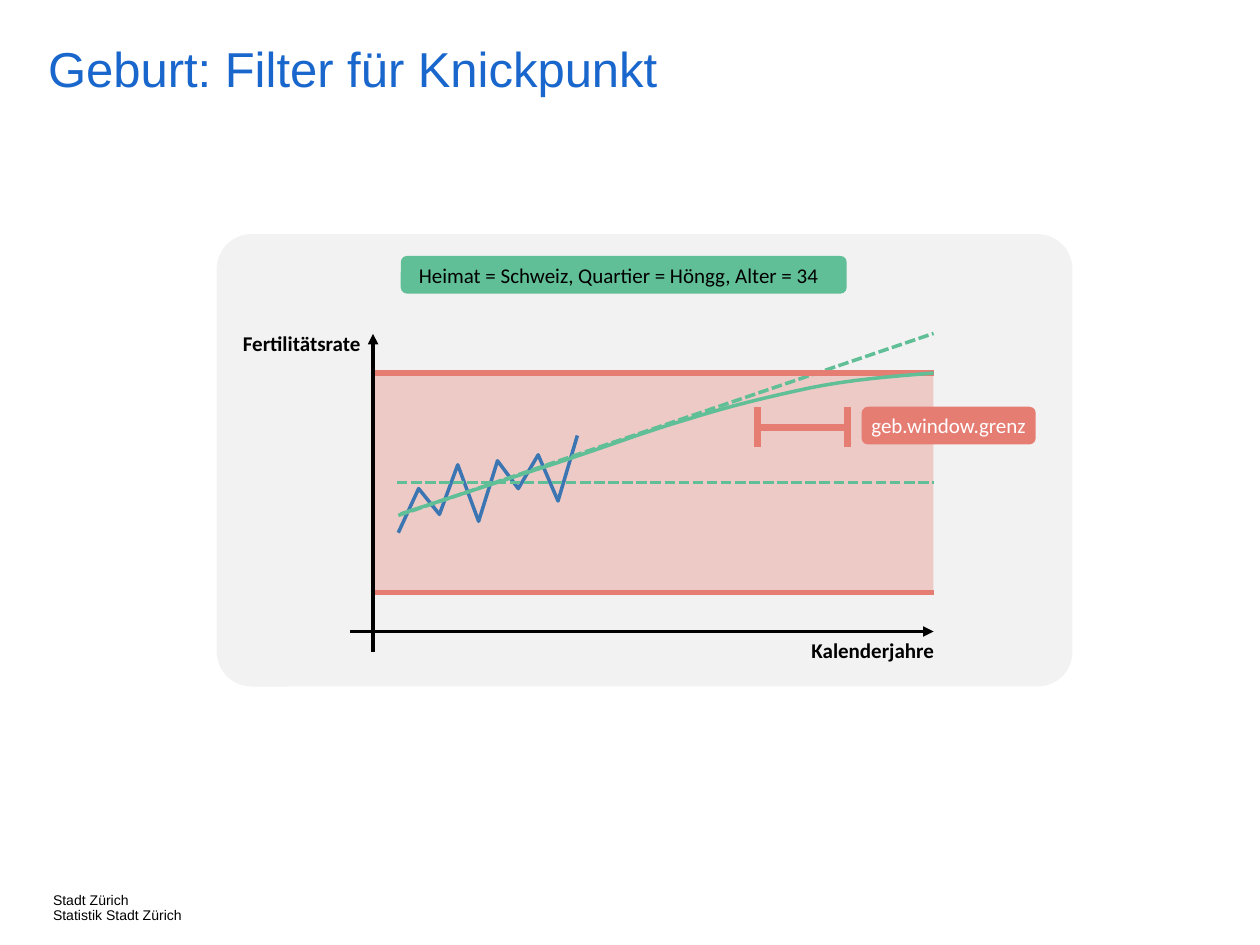
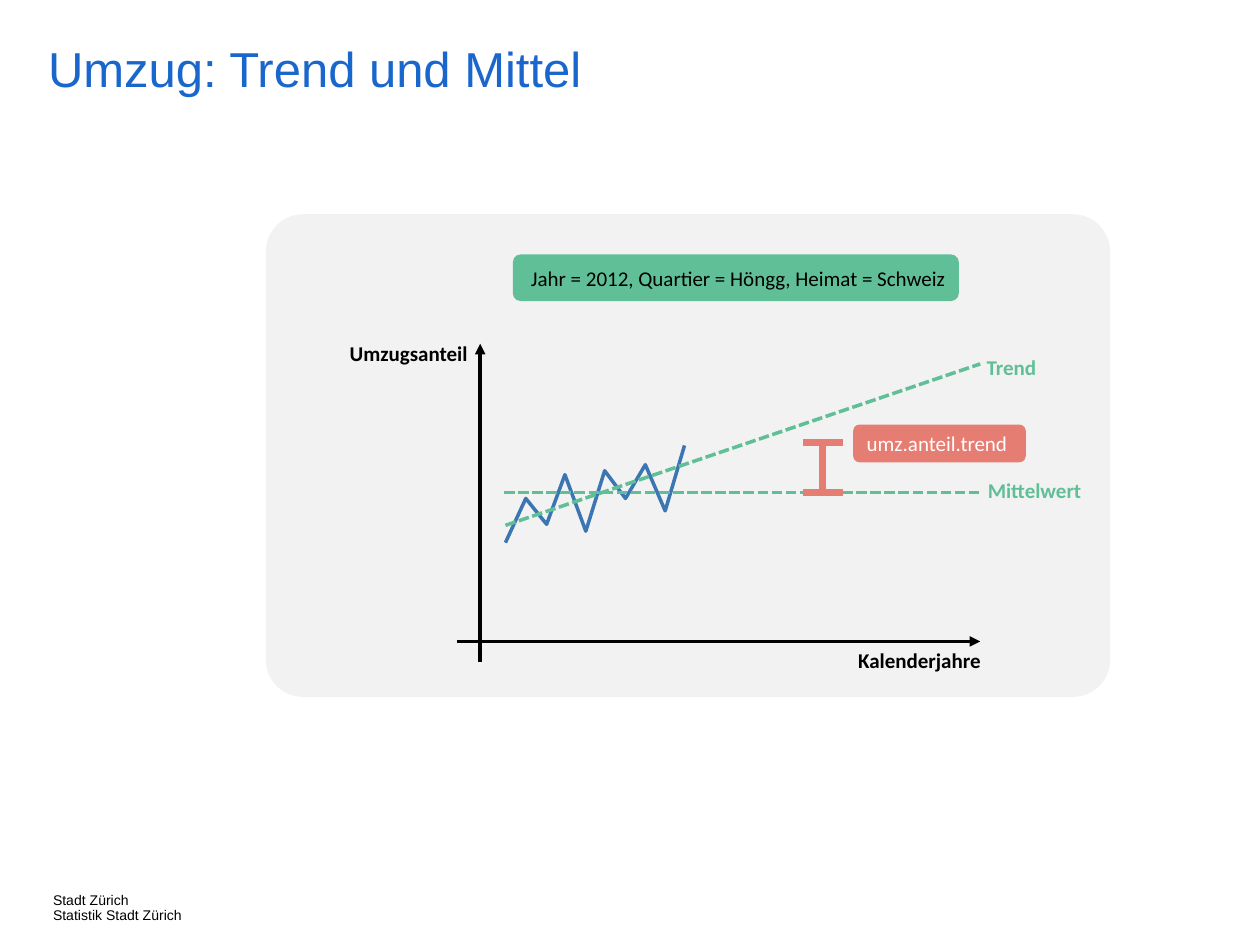
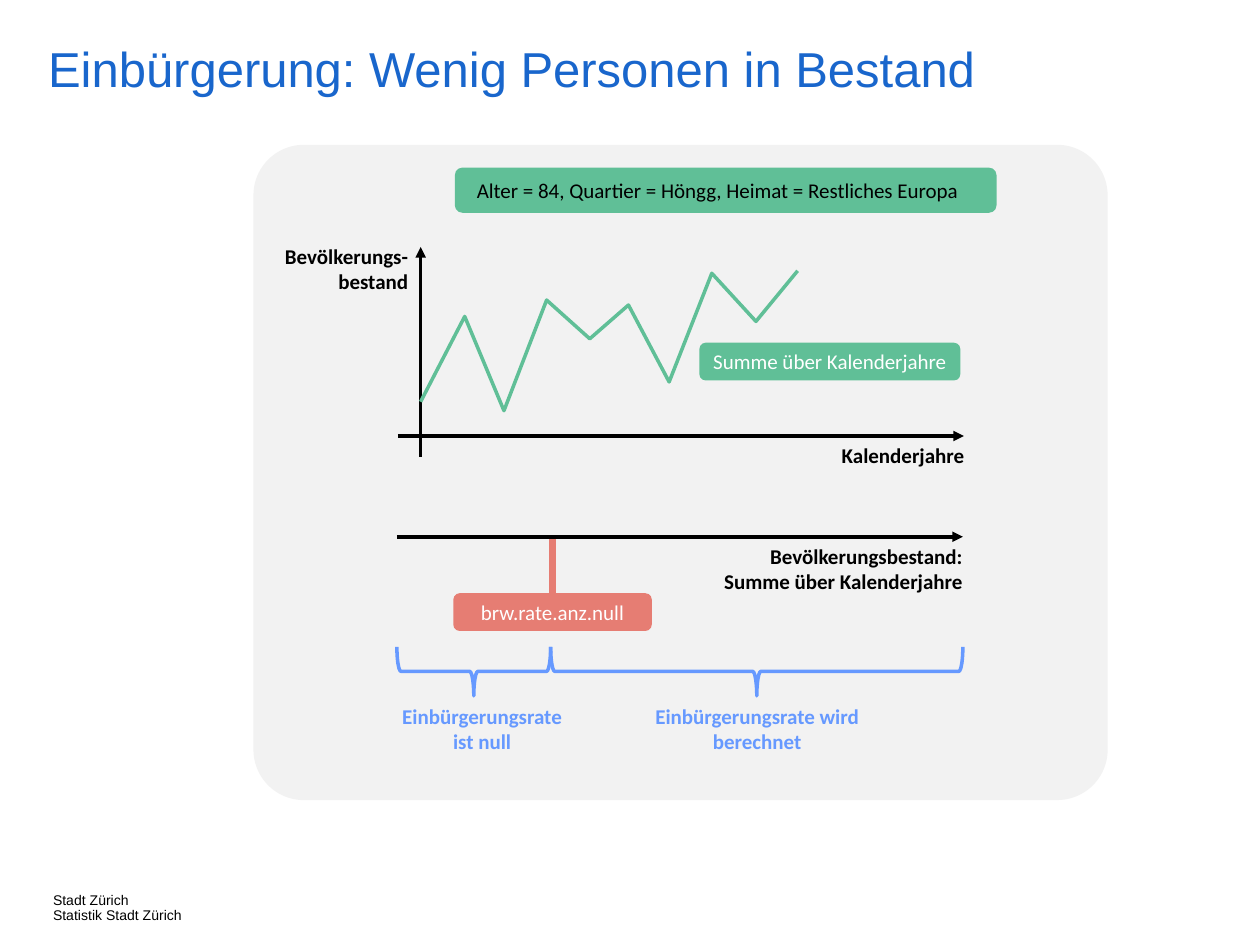
import pptx
import pptx.util
import pptx.dml.color
import pptx.enum.dml
import pptx.enum.shapes
import pptx.enum.text
import pptx.oxml
import pptx.oxml.ns
from lxml import etree

Cm = pptx.util.Cm
RGBColor = pptx.dml.color.RGBColor
ALIGN = pptx.enum.text.PP_ALIGN
ANCHOR = pptx.enum.text.MSO_ANCHOR
SHAPE = pptx.enum.shapes.MSO_SHAPE
qn = pptx.oxml.ns.qn

# Colours
BLACK = RGBColor(0x00, 0x00, 0x00)
WHITE = RGBColor(0xFF, 0xFF, 0xFF)
TITLE_BLUE = RGBColor(0x19, 0x66, 0xCC)
PANEL_GREY = RGBColor(0xF2, 0xF2, 0xF2)
GREEN = RGBColor(0x60, 0xBF, 0x97)
RED = RGBColor(0xE6, 0x7D, 0x73)
DATA_BLUE = RGBColor(0x3B, 0x76, 0xB3)
BRACE_BLUE = RGBColor(0x66, 0x99, 0xFF)

# Observed values, relative to the first one, in cm
OBSERVED = [(0, 0), (0.41, -0.89), (0.83, -0.37), (1.2, -1.37), (1.62, -0.23),
            (2, -1.45), (2.42, -0.89), (2.82, -1.57), (3.22, -0.64), (3.61, -1.96)]
TREND_SLOPE = 0.34


def write_text(frame, *lines, size=12, font="Calibri", color=BLACK, bold=False,
               align=ALIGN.LEFT, anchor=ANCHOR.TOP, spacing=1.0,
               margins=(0, 0, 0, 0), wrap=True):
    """Fill a text frame with one paragraph per line; margins are left, top, right, bottom."""
    frame.word_wrap = wrap
    frame.auto_size = pptx.enum.text.MSO_AUTO_SIZE.NONE
    frame.vertical_anchor = anchor
    frame.margin_left, frame.margin_top, frame.margin_right, frame.margin_bottom = map(Cm, margins)
    for index, line in enumerate(lines):
        paragraph = frame.add_paragraph() if index else frame.paragraphs[0]
        paragraph.alignment = align
        paragraph.line_spacing = spacing
        run = paragraph.add_run()
        run.text = line
        run.font.name = font
        run.font.size = pptx.util.Pt(size)
        run.font.bold = bold
        run.font.color.rgb = color


def curve_points(start, control_1, control_2, end, steps=8):
    """Points on a cubic Bézier curve, without its start."""
    points = []
    for step in range(1, steps + 1):
        t = step / steps
        weights = ((1 - t) ** 3, 3 * t * (1 - t) ** 2, 3 * t * t * (1 - t), t ** 3)
        corners = (start, control_1, control_2, end)
        points.append(tuple(sum(w * corner[axis] for w, corner in zip(weights, corners))
                            for axis in (0, 1)))
    return points


class Deck:
    """The shared style and the current slide; all lengths are in cm."""

    def __init__(self):
        self.presentation = pptx.Presentation()
        self.presentation.slide_width = Cm(25.4)
        self.presentation.slide_height = Cm(19.05)
        self.slide = None

    def add_slide(self, title):
        self.slide = self.presentation.slides.add_slide(self.presentation.slide_layouts[5])
        placeholder = self.slide.shapes.title
        placeholder.left, placeholder.top = Cm(0.97), Cm(0.91)
        placeholder.width, placeholder.height = Cm(21.34), Cm(1.63)
        write_text(placeholder.text_frame, title, size=28, font="Arial",
                   color=TITLE_BLUE, spacing=0.9)
        footer = self.slide.shapes.add_textbox(Cm(1.07), Cm(18.01), Cm(3.33), Cm(0.51))
        write_text(footer.text_frame, "Stadt Zürich", "Statistik Stadt Zürich",
                   size=8, font="Arial", spacing=0.9, wrap=False)

    def box(self, kind, left, top, width, height, fill):
        shape = self.slide.shapes.add_shape(kind, Cm(left), Cm(top), Cm(width), Cm(height))
        shape.shadow.inherit = False
        shape.fill.solid()
        shape.fill.fore_color.rgb = fill
        shape.line.fill.background()
        return shape

    def panel(self, left, top, width, height):
        shape = self.box(SHAPE.ROUNDED_RECTANGLE, left, top, width, height, PANEL_GREY)
        shape.adjustments[0] = 0.077

    def value_range(self, left, top, width, height):
        """See-through area between an upper and a lower limit."""
        shape = self.box(SHAPE.RECTANGLE, left, top, width, height, RED)
        color = shape.element.spPr.find(qn("a:solidFill"))[0]
        etree.SubElement(color, qn("a:alpha")).set("val", "34000")

    def tag(self, left, top, width, text, height=0.76, fill=GREEN, color=BLACK, shift=0):
        """Rounded label; shift moves its text sideways."""
        shape = self.box(SHAPE.ROUNDED_RECTANGLE, left, top, width, height, fill)
        write_text(shape.text_frame, text, color=color, align=ALIGN.CENTER,
                   anchor=ANCHOR.MIDDLE,
                   margins=(max(0, 2 * shift), 0, max(0, -2 * shift), 0))
        return shape

    def label(self, left, top, width, *lines, height=0.76, align=ALIGN.CENTER, color=BLACK):
        shape = self.slide.shapes.add_textbox(Cm(left), Cm(top), Cm(width), Cm(height))
        write_text(shape.text_frame, *lines, bold=True, color=color, align=align,
                   margins=(0.25, 0.13, 0.25, 0.13))

    def line(self, x1, y1, x2, y2, color, width=2, dashed=False, arrow=False):
        connector = self.slide.shapes.add_connector(
            pptx.enum.shapes.MSO_CONNECTOR.STRAIGHT, Cm(x1), Cm(y1), Cm(x2), Cm(y2))
        connector.line.color.rgb = color
        connector.line.width = pptx.util.Pt(width)
        if dashed:
            connector.line.dash_style = pptx.enum.dml.MSO_LINE.SQUARE_DOT
        properties = connector.element.spPr
        if arrow:
            outline = properties.find(qn("a:ln"))
            etree.SubElement(outline, qn("a:tailEnd")).set("type", "triangle")
        etree.SubElement(properties, qn("a:effectLst"))
        return connector

    def outline(self, shape, color):
        shape.shadow.inherit = False
        shape.fill.background()
        shape.line.color.rgb = color
        shape.line.width = pptx.util.Pt(2)

    def polyline(self, points, color):
        start, *others = [(Cm(x), Cm(y)) for x, y in points]
        builder = self.slide.shapes.build_freeform(*start)
        builder.add_line_segments(others, close=False)
        self.outline(builder.convert_to_shape(), color)

    def brace(self, left, right, top, depth=0.99):
        """Brace that opens upwards: a right brace turned by 90 degrees."""
        length = right - left
        shape = self.slide.shapes.add_shape(
            SHAPE.RIGHT_BRACE, Cm((left + right - depth) / 2),
            Cm(top + (depth - length) / 2), Cm(depth), Cm(length))
        shape.rotation = 90
        self.outline(shape, BRACE_BLUE)

    def span(self, x1, y1, x2, y2, cap=0.4):
        """Measuring line with a cross bar at each end."""
        self.line(x1, y1, x2, y2, RED, 4)
        dx, dy = (cap, 0) if x1 == x2 else (0, cap)
        for x, y in ((x1, y1), (x2, y2)):
            self.line(x - dx, y - dy, x + dx, y + dy, RED, 4)

    def axes(self, x, y, right, name, height=6.0, name_height=0.76):
        """Two arrows that cross at x, y, with their names."""
        self.line(x - 0.46, y, right, y, BLACK, arrow=True)
        self.line(x, y + 0.42, x, y - height, BLACK, arrow=True)
        self.label(right - 2.8, y, 3.15, "Kalenderjahre")
        self.label(x - 3.38, y - height - 0.2, 3.38, name, height=name_height, align=ALIGN.RIGHT)

    def observations(self, x, y, right):
        """Observed values with mean and trend, for axes that cross at x, y."""
        start = x + 0.51
        self.polyline([(start + dx, y - 1.99 + dy) for dx, dy in OBSERVED], DATA_BLUE)
        self.line(x + 0.48, y - 3, right, y - 3, GREEN, dashed=True)
        trend_end = y - 2.34 - TREND_SLOPE * (right - start)
        self.line(start, y - 2.34, right, trend_end, GREEN, dashed=True)


def births(deck):
    deck.add_slide("Geburt: Filter für Knickpunkt")
    x, y, right = 7.52, 12.73, 18.82
    upper, lower = 7.52, 11.94
    deck.panel(4.37, 4.72, 17.25, 9.12)
    deck.value_range(x, upper, right - x, lower - upper)
    deck.tag(8.08, 5.16, 8.99, "Heimat = Schweiz, Quartier = Höngg, Alter = 34", shift=-0.1)
    deck.observations(x, y, right)
    for limit in (lower, upper):
        deck.line(x, limit, right, limit, RED, 3)
    deck.axes(x, y, right, "Fertilitätsrate")
    # Window and the trend that bends towards the upper limit
    deck.span(15.28, 8.61, 17.09, 8.61)
    bend, middle, late = (11.02, 9.4), (13.84, 8.46), (16.33, 7.82)
    deck.polyline([(8.08, 10.36), bend,
                   *curve_points(bend, (11.99, 9.09), (12.98, 8.71), middle),
                   *curve_points(middle, (14.73, 8.18), (15.49, 8), late),
                   *curve_points(late, (17.17, 7.65), (17.98, 7.59), (right, upper))], GREEN)
    deck.tag(17.37, 8.2, 3.51, "geb.window.grenz", fill=RED, color=WHITE)


def moves(deck):
    deck.add_slide("Umzug: Trend und Mittel")
    x, y, right = 9.68, 12.93, 19.76
    deck.panel(5.36, 4.32, 17.02, 9.73)
    deck.observations(x, y, right)
    deck.axes(x, y, right, "Umzugsanteil")
    deck.label(18.9, 9.5, 3.15, "Mittelwert", align=ALIGN.RIGHT, color=GREEN)
    deck.label(19.51, 7.01, 1.63, "Trend", align=ALIGN.RIGHT, color=GREEN)
    # Share between mean and trend
    deck.span(16.59, 8.92, 16.59, 9.93)
    deck.tag(17.2, 8.56, 3.48, "umz.anteil.trend", fill=RED, color=WHITE, shift=-0.05)
    deck.tag(10.34, 5.13, 8.99, "Jahr = 2012, Quartier = Höngg, Heimat = Schweiz",
             height=0.94, shift=0.05)


def naturalisations(deck):
    deck.add_slide("Einbürgerung: Wenig Personen in Bestand")
    deck.panel(5.11, 2.92, 17.22, 13.21)
    deck.tag(9.17, 3.38, 10.92, "Alter = 84, Quartier = Höngg, Heimat = Restliches Europa",
             height=0.91, shift=-0.16)
    # Population by year
    deck.axes(8.48, 8.79, 19.43, "Bevölkerungs-bestand", height=3.81, name_height=1.27)
    deck.polyline([(8.48, 8.1), (9.37, 6.38), (10.16, 8.28), (11.02, 6.05), (11.89, 6.83),
                   (12.67, 6.15), (13.49, 7.7), (14.35, 5.51), (15.24, 6.48), (16.08, 5.46)],
                  GREEN)
    deck.tag(14.1, 6.91, 5.26, "Summe über Kalenderjahre", color=WHITE)
    # Sum over the years, with its threshold
    threshold = deck.tag(9.14, 11.96, 4, "brw.rate.anz.null", fill=RED, color=WHITE)
    marker = deck.line(11.14, 10.85, 11.14, 11.96, RED, 4)
    marker.end_connect(threshold, 0)
    deck.line(8, 10.82, 19.41, 10.82, BLACK, arrow=True)
    deck.label(9.58, 10.82, 10.08, "Bevölkerungsbestand:", "Summe über Kalenderjahre",
               height=1.27, align=ALIGN.RIGHT)
    # Consequence on either side of the threshold
    for left, right, label_left, label_width, text in (
            (8, 11.1, 7.8, 3.84, "Einbürgerungsrate ist null"),
            (11.1, 19.41, 12.7, 5.13, "Einbürgerungsrate wird berechnet")):
        deck.brace(left, right, 13.04)
        deck.label(label_left, 14.05, label_width, text, height=1.27, color=BRACE_BLUE)


def main():
    deck = Deck()
    births(deck)
    moves(deck)
    naturalisations(deck)
    deck.presentation.save("out.pptx")


if __name__ == "__main__":
    main()
